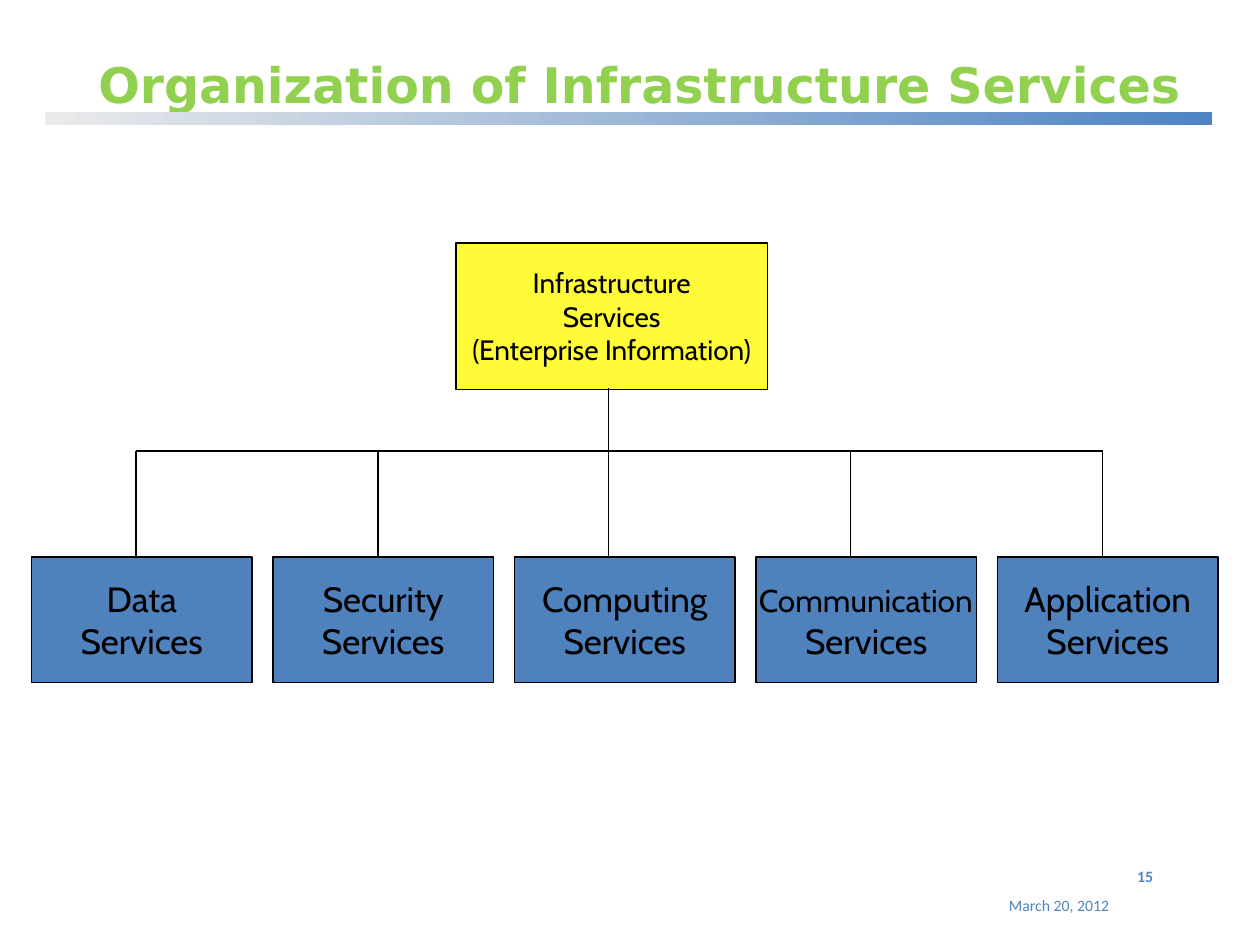
from pptx import Presentation
from pptx.dml.color import RGBColor
from pptx.enum.shapes import MSO_CONNECTOR, MSO_SHAPE
from pptx.enum.text import MSO_ANCHOR, MSO_AUTO_SIZE, PP_ALIGN
from pptx.oxml.ns import qn
from pptx.util import Inches, Pt
from lxml import etree

BLACK = RGBColor(0x00, 0x00, 0x00)
GREEN = RGBColor(0x92, 0xD0, 0x50)
YELLOW = RGBColor(0xFF, 0xFB, 0x39)
BLUE = RGBColor(0x4F, 0x81, 0xBD)
ACCENT = RGBColor(0x4E, 0x84, 0xC4)
GREY = RGBColor(0xEA, 0xEA, 0xEA)


def add_run(paragraph, text, size, font, color, bold=False):
    run = paragraph.add_run()
    run.text = text
    run.font.size = Pt(size)
    run.font.name = font
    run.font.bold = bold
    run.font.color.rgb = color


def add_box(left, top, width, height, color, lines):
    shape = slide.shapes.add_shape(
        MSO_SHAPE.RECTANGLE, Inches(left), Inches(top), Inches(width), Inches(height))
    shape.shadow.inherit = False
    shape.fill.solid()
    shape.fill.fore_color.rgb = color
    shape.line.color.rgb = BLACK
    shape.line.width = Pt(0.75)
    frame = shape.text_frame
    frame.word_wrap = False
    frame.vertical_anchor = MSO_ANCHOR.MIDDLE
    for index, runs in enumerate(lines):
        paragraph = frame.add_paragraph() if index else frame.paragraphs[0]
        paragraph.alignment = PP_ALIGN.CENTER
        for text, size in runs:
            add_run(paragraph, text, size, "Cabin", BLACK)


presentation = Presentation()
presentation.slide_width = Inches(10)
presentation.slide_height = Inches(7.5)
slide = presentation.slides.add_slide(presentation.slide_layouts[5])

bar = slide.shapes.add_shape(
    MSO_SHAPE.RECTANGLE, Inches(0.36), Inches(0.89), Inches(9.26), Inches(0.1))
bar.shadow.inherit = False
bar.line.fill.background()
bar.fill.gradient()
bar.fill.gradient_angle = 0
for stop, color, position in zip(bar.fill.gradient_stops, (GREY, ACCENT), (0, 1)):
    stop.color.rgb = color
    stop.position = position

title = slide.shapes.title
title.left, title.top = Inches(0.15), Inches(0.27)
title.width, title.height = Inches(9.45), Inches(0.58)
frame = title.text_frame
frame.auto_size = MSO_AUTO_SIZE.NONE
frame.vertical_anchor = MSO_ANCHOR.TOP
frame.margin_top = Inches(0.09)
frame.margin_bottom = 0
paragraph = frame.paragraphs[0]
paragraph.alignment = PP_ALIGN.RIGHT
paragraph.line_spacing = 1.15
add_run(paragraph, "Organization of Infrastructure Services ", 28, "DejaVu Sans", GREEN, True)

for text, left, top, width, height, bold in (
    ("March 20, 2012", 7.35, 7.06, 1.55, 0.35, False),
    ("15", 7.17, 6.83, 2.08, 0.5, True),
):
    footer = slide.shapes.add_textbox(
        Inches(left), Inches(top), Inches(width), Inches(height))
    footer.text_frame.word_wrap = True
    paragraph = footer.text_frame.paragraphs[0]
    paragraph.alignment = PP_ALIGN.RIGHT
    add_run(paragraph, text, 9, "Calibri", ACCENT, bold)

add_box(3.62, 1.93, 2.47, 1.16, YELLOW, [
    [("Infrastructure", 16)],
    [("Services", 16)],
    [("(Enterprise Information)", 16)],
])

service_top = 4.42
service_pitch = 23 / 12
services = (
    [("Data", 20)],
    [("Security", 20)],
    [("Computing", 20)],
    [(" Communication", 18), (" ", 20)],
    [("Application", 20)],
)
for column, name in enumerate(services):
    add_box(0.25 + column * service_pitch, service_top, 1.75, 1, BLUE,
            [name, [("Services", 20)]])

branch_top = 3.58
branches = (1.08, 3, 4.83, 6.75, 8.75)
lines = [(branches[0], branch_top, branches[-1], branch_top)]
for x in branches:
    lines.append((x, 3.08 if x == branches[2] else branch_top, x, service_top))
for ends in lines:
    connector = slide.shapes.add_connector(
        MSO_CONNECTOR.STRAIGHT, *[Inches(value) for value in ends])
    connector.line.color.rgb = BLACK
    connector.line.width = Pt(0.75)
    properties = connector._element.find(qn("p:spPr"))
    etree.SubElement(properties, qn("a:effectLst"))

presentation.save("out.pptx")
